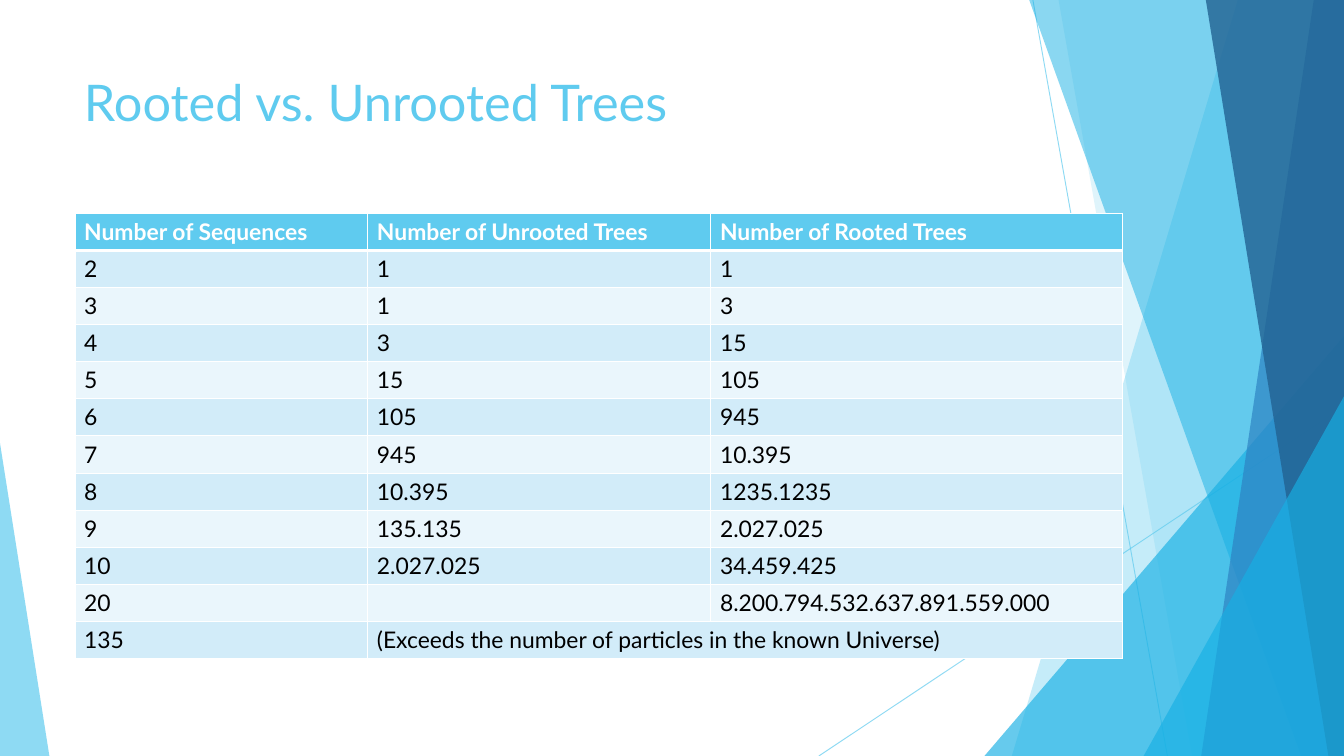
from lxml.etree import SubElement
from pptx import Presentation
from pptx.dml.color import RGBColor
from pptx.enum.shapes import MSO_CONNECTOR as Connector, MSO_SHAPE as Shape
from pptx.enum.text import MSO_ANCHOR as Anchor, PP_ALIGN as Align
from pptx.oxml.ns import qn
from pptx.util import Inches, Pt

# Content
TITLE = "Rooted vs. Unrooted Trees"
ROWS = [
    ("Number of Sequences", "Number of Unrooted Trees", "Number of Rooted Trees"),
    ("2", "1", "1"),
    ("3", "1", "3"),
    ("4", "3", "15"),
    ("5", "15", "105"),
    ("6", "105", "945"),
    ("7", "945", "10.395"),
    ("8", "10.395", "1235.1235"),
    ("9", "135.135", "2.027.025"),
    ("10", "2.027.025", "34.459.425"),
    ("20", "", "8.200.794.532.637.891.559.000"),
    ("135", "(Exceeds the number of particles in the known Universe)", ""),
]

# Layout and style
WIDTH, HEIGHT = 14.69, 8.26
COLUMN_WIDTHS = (3.2, 3.75, 4.5)
TABLE_LEFT, TABLE_TOP, TABLE_HEIGHT = 0.82, 2.33, 4.87
FONT = "Lato"
SKY, BLUE, MID, NAVY = "5FCBEF", "17B0E4", "2E83C3", "226292"
WHITE, BLACK = "FFFFFF", "000000"
STRIPES = ("EAF6FC", "D2ECF9")

# Thin lines: start, end
LINES = [((11.29, 0), (12.76, HEIGHT)), ((WIDTH, 4.44), (8.95, HEIGHT))]
# Bands reach the right edge: left x at top, left x at bottom, colour, opacity
# Triangles: left, top, width, apex position, colour, opacity
DECORATIONS = [
    ("band", 13.53, 11.06, SKY, 36),
    ("band", 11.57, 13.03, SKY, 20),
    ("triangle", 10.76, 3.67, 3.93, 1, BLUE, 66),
    ("band", 11.25, 14.22, BLUE, 50),
    ("band", 14.36, 13.13, MID, 70),
    ("band", 13.18, 14.52, NAVY, 80),
    ("triangle", 12.5, 4.33, 2.19, 1, BLUE, 66),
    ("triangle", 0, 4.84, 0.54, 0, SKY, 70),
]


def set_color(color_format, value):
    color_format.rgb = RGBColor.from_string(value)


def set_fill(fill, value):
    fill.solid()
    set_color(fill.fore_color, value)


def set_opacity(properties, percent):
    for color in properties.iter(qn("a:srgbClr")):
        SubElement(color, qn("a:alpha"), val=str(percent * 1000))


def style_text(paragraph, size, color, bold=False):
    paragraph.alignment = Align.LEFT
    for run in paragraph.runs:
        run.font.name, run.font.size, run.font.bold = FONT, Pt(size), bold
        set_color(run.font.color, color)


def add_line(slide, start, end):
    line = slide.shapes.add_connector(
        Connector.STRAIGHT, *(Inches(value) for value in start + end))
    line.line.width = Pt(0.75)
    set_color(line.line.color, SKY)
    properties = line._element.spPr
    set_opacity(properties, 70)
    SubElement(properties, qn("a:effectLst"))


def add_band(slide, top_x, bottom_x):
    builder = slide.shapes.build_freeform(Inches(top_x), 0)
    corners = [(WIDTH, 0), (WIDTH, HEIGHT), (bottom_x, HEIGHT)]
    builder.add_line_segments([(Inches(x), Inches(y)) for x, y in corners])
    return builder.convert_to_shape()


def add_triangle(slide, left, top, width, apex):
    shape = slide.shapes.add_shape(
        Shape.ISOSCELES_TRIANGLE, Inches(left), Inches(top),
        Inches(width), Inches(HEIGHT - top))
    shape.adjustments[0] = apex
    return shape


def add_decorations(slide):
    for start, end in LINES:
        add_line(slide, start, end)
    builders = {"band": add_band, "triangle": add_triangle}
    for kind, *geometry, color, opacity in DECORATIONS:
        shape = builders[kind](slide, *geometry)
        shape.shadow.inherit = False
        shape.line.fill.background()
        set_fill(shape.fill, color)
        set_opacity(shape._element.spPr, opacity)


def add_title(slide):
    box = slide.shapes.add_textbox(
        Inches(0.82), Inches(0.73), Inches(10.36), Inches(1.59))
    frame = box.text_frame
    frame.word_wrap = True
    frame.vertical_anchor = Anchor.TOP
    frame.text = TITLE
    style_text(frame.paragraphs[0], 39.7, SKY)


def set_borders(cell, top, bottom):
    properties = cell._tc.get_or_add_tcPr()
    for side, points in (("L", 1), ("R", 1), ("T", top), ("B", bottom)):
        border = SubElement(properties, qn(f"a:ln{side}"), w=str(Pt(points)))
        fill = SubElement(border, qn("a:solidFill"))
        SubElement(fill, qn("a:srgbClr"), val=WHITE)


def add_tree_table(slide):
    table = slide.shapes.add_table(
        len(ROWS), len(COLUMN_WIDTHS), Inches(TABLE_LEFT), Inches(TABLE_TOP),
        Inches(sum(COLUMN_WIDTHS)), Inches(TABLE_HEIGHT)).table
    for column, width in zip(table.columns, COLUMN_WIDTHS):
        column.width = Inches(width)
    for i, values in enumerate(ROWS):
        header = i == 0
        for j, value in enumerate(values):
            cell = table.cell(i, j)
            cell.text = value
            style_text(cell.text_frame.paragraphs[0], 18,
                       WHITE if header else BLACK, header)
            # The rule under the header is heavier
            set_borders(cell, 3 if i == 1 else 1, 3 if header else 1)
            set_fill(cell.fill, SKY if header else STRIPES[i % 2])
    last = len(ROWS) - 1
    table.cell(last, 1).merge(table.cell(last, 2))


def main():
    presentation = Presentation()
    presentation.slide_width = Inches(WIDTH)
    presentation.slide_height = Inches(HEIGHT)
    slide = presentation.slides.add_slide(presentation.slide_layouts[6])
    set_fill(slide.background.fill, WHITE)
    add_decorations(slide)
    add_title(slide)
    add_tree_table(slide)
    presentation.save("out.pptx")


if __name__ == "__main__":
    main()
